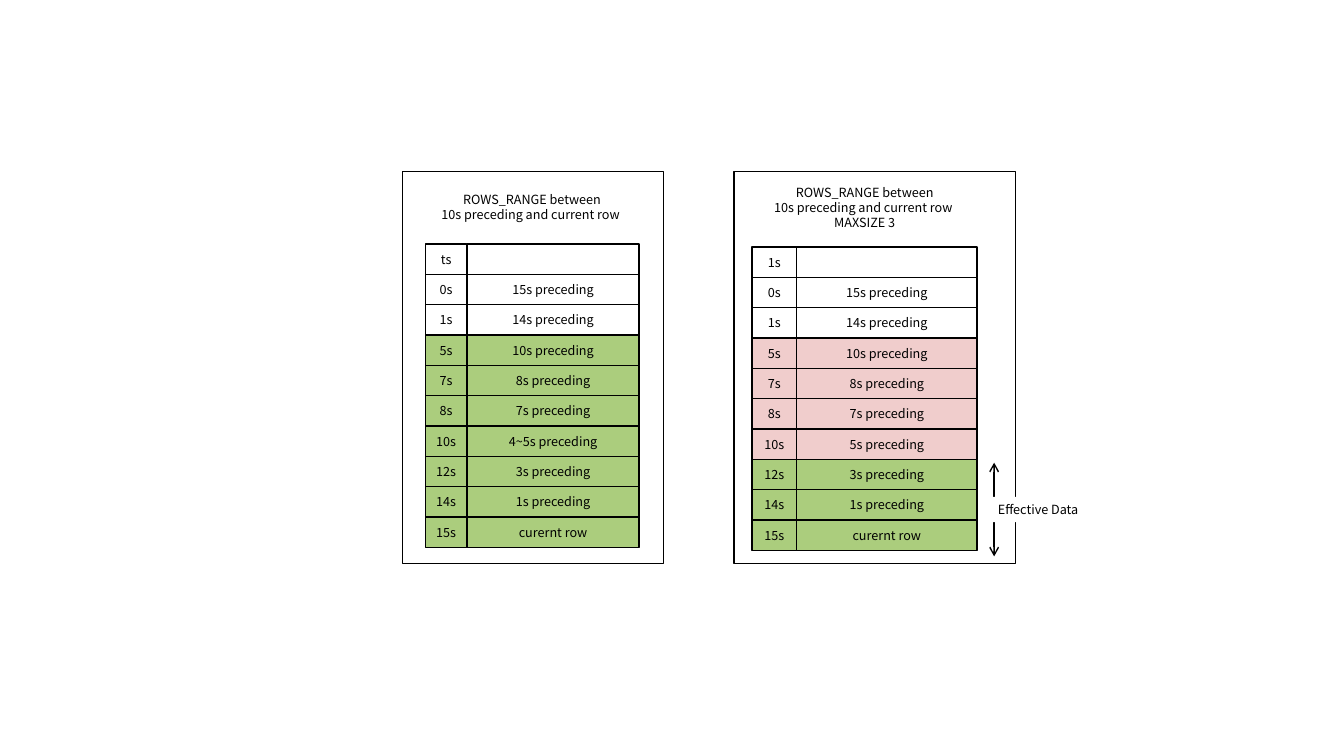
from dataclasses import dataclass

from lxml.etree import SubElement
from pptx import Presentation
from pptx.dml.color import RGBColor
from pptx.enum.shapes import MSO_CONNECTOR, MSO_SHAPE
from pptx.enum.text import MSO_ANCHOR, PP_ALIGN
from pptx.oxml.ns import qn
from pptx.util import Inches, Pt


@dataclass(frozen=True)
class Theme:
    font: str = "Noto Sans CJK SC"
    size: Pt = Pt(9)
    pitch: Pt = Pt(10.8)
    line: Pt = Pt(1)
    ink: RGBColor = RGBColor(0, 0, 0)
    white: RGBColor = RGBColor(255, 255, 255)
    green: RGBColor = RGBColor(0xAB, 0xCD, 0x7D)
    pink: RGBColor = RGBColor(0xF0, 0xCD, 0xCC)


THEME = Theme()
HEIGHT = 3.01
TIMES = ["0s", "1s", "5s", "7s", "8s", "10s", "12s", "14s", "15s"]
AGES = ["15s preceding", "14s preceding", "10s preceding", "8s preceding",
        "7s preceding", "{} preceding", "3s preceding", "1s preceding",
        "curernt row"]
TITLE = ["ROWS_RANGE between", "10s preceding and current row "]


def inches(*values):
    return [Inches(value) for value in values]


def write(frame, text, pitch=None):
    frame.text = text
    frame.word_wrap = False
    frame.vertical_anchor = MSO_ANCHOR.MIDDLE
    for para in frame.paragraphs:
        para.alignment = PP_ALIGN.CENTER
        para.line_spacing = pitch
        para.font.name = THEME.font
        para.font.size = THEME.size
        para.font.color.rgb = THEME.ink


def add_box(slide, box, text="", fill=None, edge=True):
    shape = slide.shapes.add_shape(MSO_SHAPE.RECTANGLE, *inches(*box))
    shape.shadow.inherit = False
    if fill is None:
        shape.fill.background()
    else:
        shape.fill.solid()
        shape.fill.fore_color.rgb = fill
    if edge:
        shape.line.color.rgb = THEME.ink
        shape.line.width = THEME.line
    else:
        shape.line.fill.background()
    if text:
        write(shape.text_frame, text)


def add_title(slide, lines, *box):
    frame = slide.shapes.add_textbox(*inches(*box)).text_frame
    write(frame, "\n".join(lines), THEME.pitch)


def add_grid(slide, rows, fills, left, top, widths):
    high = HEIGHT / len(rows)
    for r, (row, fill) in enumerate(zip(rows, fills)):
        for c, text in enumerate(row):
            box = (left + sum(widths[:c]), top + r * high, widths[c], high)
            add_box(slide, box, text, fill)


def add_arrow(slide, *ends):
    arrow = slide.shapes.add_connector(MSO_CONNECTOR.STRAIGHT, *inches(*ends))
    arrow.line.color.rgb = THEME.ink
    arrow.line.width = THEME.line
    line = arrow.line._get_or_add_ln()
    for end in ["headEnd", "tailEnd"]:
        SubElement(line, qn(f"a:{end}"), type="arrow")
    SubElement(arrow._element.spPr, qn("a:effectLst"))


def make_rows(head, span):
    return [(head, "")] + [(time, age.format(span))
                           for time, age in zip(TIMES, AGES)]


def main():
    deck = Presentation()
    deck.slide_width, deck.slide_height = inches(13.33, 7.5)
    slide = deck.slides.add_slide(deck.slide_layouts[6])

    # Time window without a size limit
    add_box(slide, (3.99, 1.7, 2.59, 3.89))
    add_title(slide, TITLE, 4.27, 1.86, 2.01, 0.39)
    fills = [None] * 3 + [THEME.green] * 7
    add_grid(slide, make_rows("ts", "4~5s"), fills, 4.22, 2.42, [0.41, 1.71])

    # Time window limited to three rows
    add_box(slide, (7.28, 1.7, 2.79, 3.89))
    add_title(slide, TITLE + ["MAXSIZE 3"], 7.57, 1.79, 2.01, 0.54)
    fills = [None] * 3 + [THEME.pink] * 4 + [THEME.green] * 3
    add_grid(slide, make_rows("1s", "5s"), fills, 7.46, 2.45, [0.44, 1.79])

    # Span of the rows that count
    add_arrow(slide, 9.86, 5.52, 9.86, 4.59)
    add_box(slide, (9.74, 4.93, 1.11, 0.25), "Effective Data", THEME.white,
            edge=False)

    deck.save("out.pptx")


main()
